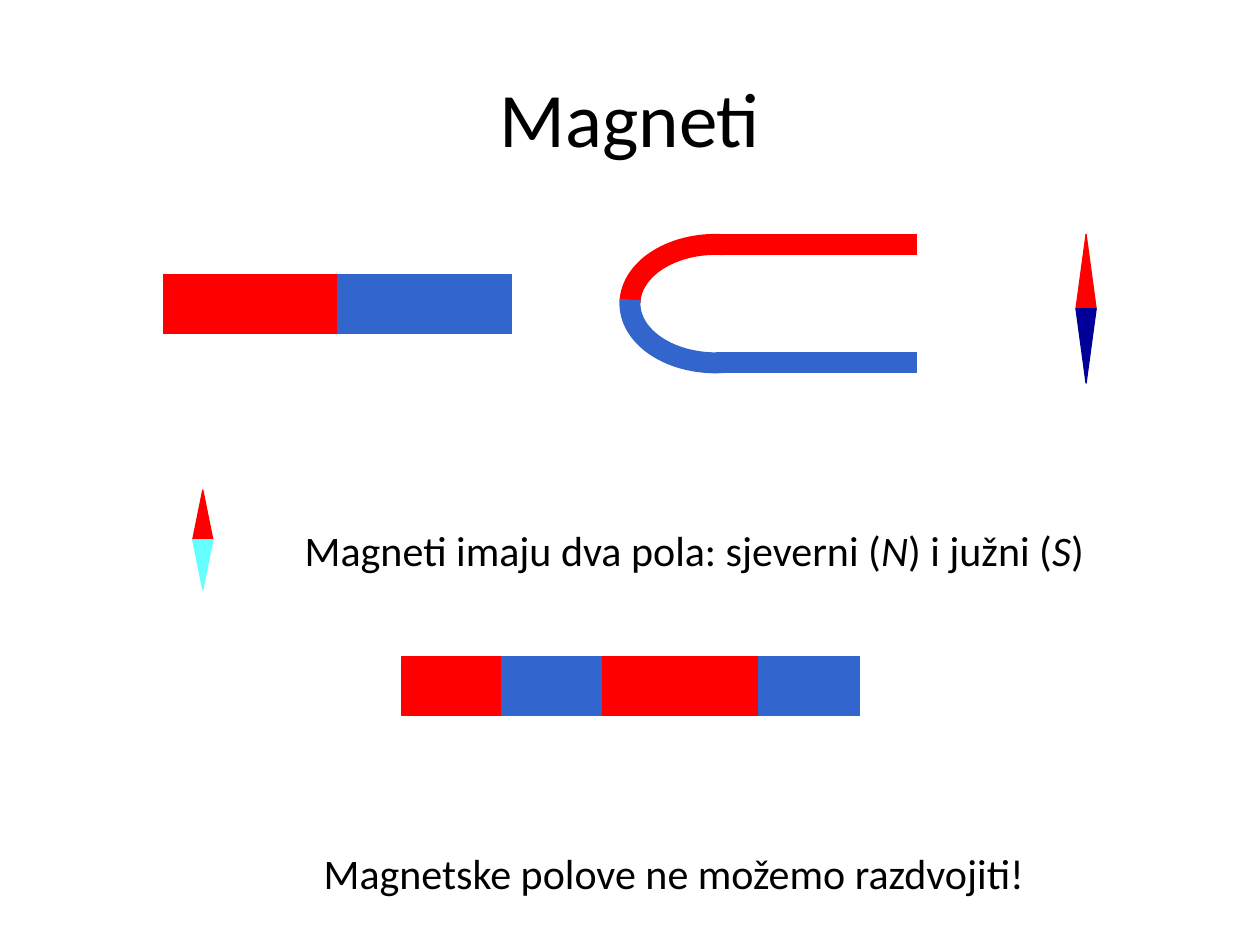
import math

import pptx
import pptx.dml.color
import pptx.enum.shapes
import pptx.enum.text
import pptx.util
from lxml import etree

RED = pptx.dml.color.RGBColor(0xFF, 0x00, 0x00)
BLUE = pptx.dml.color.RGBColor(0x33, 0x66, 0xCC)
NAVY = pptx.dml.color.RGBColor(0x00, 0x00, 0x99)
CYAN = pptx.dml.color.RGBColor(0x66, 0xFF, 0xFF)
BLACK = pptx.dml.color.RGBColor(0x00, 0x00, 0x00)

deck = pptx.Presentation()
deck.slide_width = pptx.util.Inches(10)
deck.slide_height = pptx.util.Inches(7.5)
page = deck.slides.add_slide(deck.slide_layouts[6])

# The page is a grid of 100 columns and 100 rows
COLUMN = deck.slide_width / 100
ROW = deck.slide_height / 100


def paint(shape, color):
    shape.shadow.inherit = False
    shape.fill.solid()
    shape.fill.fore_color.rgb = color
    shape.line.color.rgb = color
    shape.line.width = pptx.util.Pt(0.75)


def draw_outline(points, closed):
    spots = [(round(x * COLUMN), round(y * ROW)) for x, y in points]
    builder = page.shapes.build_freeform(*spots[0])
    builder.add_line_segments(spots[1:], close=closed)
    return builder.convert_to_shape()


# Compass needles: two triangles on a shared base
for center, middle, half_height, south in [
    (86.2, 32.67, 7.87, NAVY),
    (16.1, 57.13, 5.27, CYAN),
]:
    for tip, color in [(middle - half_height, RED), (middle + half_height, south)]:
        corners = [(center, tip), (center - 0.8, middle), (center + 0.8, middle)]
        paint(draw_outline(corners, True), color)

# Bar magnets: one alone, then a long one overlaid by two short ones
BAR_HEIGHT = 6.27
for left, top, pole_width in [
    (13, 29.07, 13.8),
    (36.6, 69.47, 15.8),
    (31.9, 69.47, 7.9),
    (52.4, 69.47, 7.85),
]:
    for index, color in enumerate([RED, BLUE]):
        pole = page.shapes.add_shape(
            pptx.enum.shapes.MSO_SHAPE.RECTANGLE,
            round((left + index * pole_width) * COLUMN), round(top * ROW),
            round(pole_width * COLUMN), round(BAR_HEIGHT * ROW))
        paint(pole, color)

# Horseshoe magnet: a quarter ellipse and a straight arm for each pole
BEND_X, BEND_Y, RADIUS_X, RADIUS_Y = 56.8, 32.13, 6.8, 6.27
ARM_END = 72.8
STEPS = 30
for color, start, end, side in [(RED, 181, 275, -1), (BLUE, 184, 85, 1)]:
    angles = [math.radians(start + (end - start) * step / STEPS)
              for step in range(STEPS + 1)]
    bend = draw_outline([(BEND_X + RADIUS_X * math.cos(angle),
                          BEND_Y + RADIUS_Y * math.sin(angle))
                         for angle in angles], False)
    bend.shadow.inherit = False
    bend.fill.background()
    arm_y = round((BEND_Y + side * RADIUS_Y) * ROW)
    arm = page.shapes.add_connector(
        pptx.enum.shapes.MSO_CONNECTOR.STRAIGHT,
        round(BEND_X * COLUMN), arm_y, round(ARM_END * COLUMN), arm_y)
    for part in (bend, arm):
        part.line.color.rgb = color
        part.line.width = pptx.util.Pt(12)
    etree.SubElement(arm.element.spPr, pptx.oxml.ns.qn("a:effectLst"))

# Title and captions: each run is its wording and whether it is italic
LEFT, CENTER = pptx.enum.text.PP_ALIGN.LEFT, pptx.enum.text.PP_ALIGN.CENTER
for left, top, width, height, size, align, wrap, spans in [
    (5, 4, 90, 16.67, 44, CENTER, True, [("Magneti", False)]),
    (23.2, 54.8, 65.2, 6.67, 24, LEFT, False,
     [("Magneti imaju dva pola: sjeverni (", False), ("N", True),
      (") i južni (", False), ("S", True), (")", False)]),
    (24.7, 89.07, 58.2, 6.67, 24, LEFT, False,
     [("Magnetske polove ne možemo razdvojiti!", False)]),
]:
    box = page.shapes.add_textbox(round(left * COLUMN), round(top * ROW),
                                  round(width * COLUMN), round(height * ROW))
    frame = box.text_frame
    frame.word_wrap = wrap
    if wrap:
        frame.vertical_anchor = pptx.enum.text.MSO_ANCHOR.MIDDLE
    else:
        frame.auto_size = pptx.enum.text.MSO_AUTO_SIZE.SHAPE_TO_FIT_TEXT
    para = frame.paragraphs[0]
    para.alignment = align
    for wording, italic in spans:
        span = para.add_run()
        span.text = wording
        span.font.name = "Calibri"
        span.font.size = pptx.util.Pt(size)
        span.font.italic = italic
        span.font.color.rgb = BLACK

deck.save("out.pptx")
